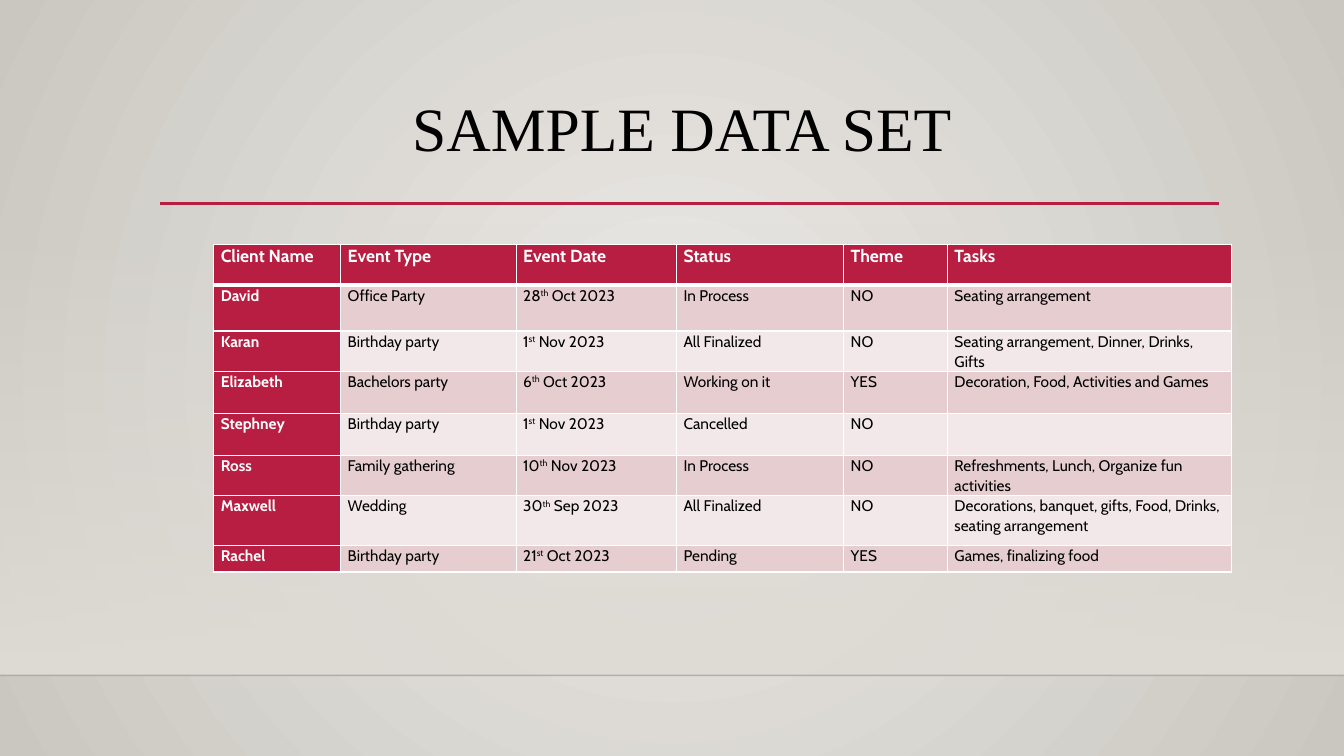
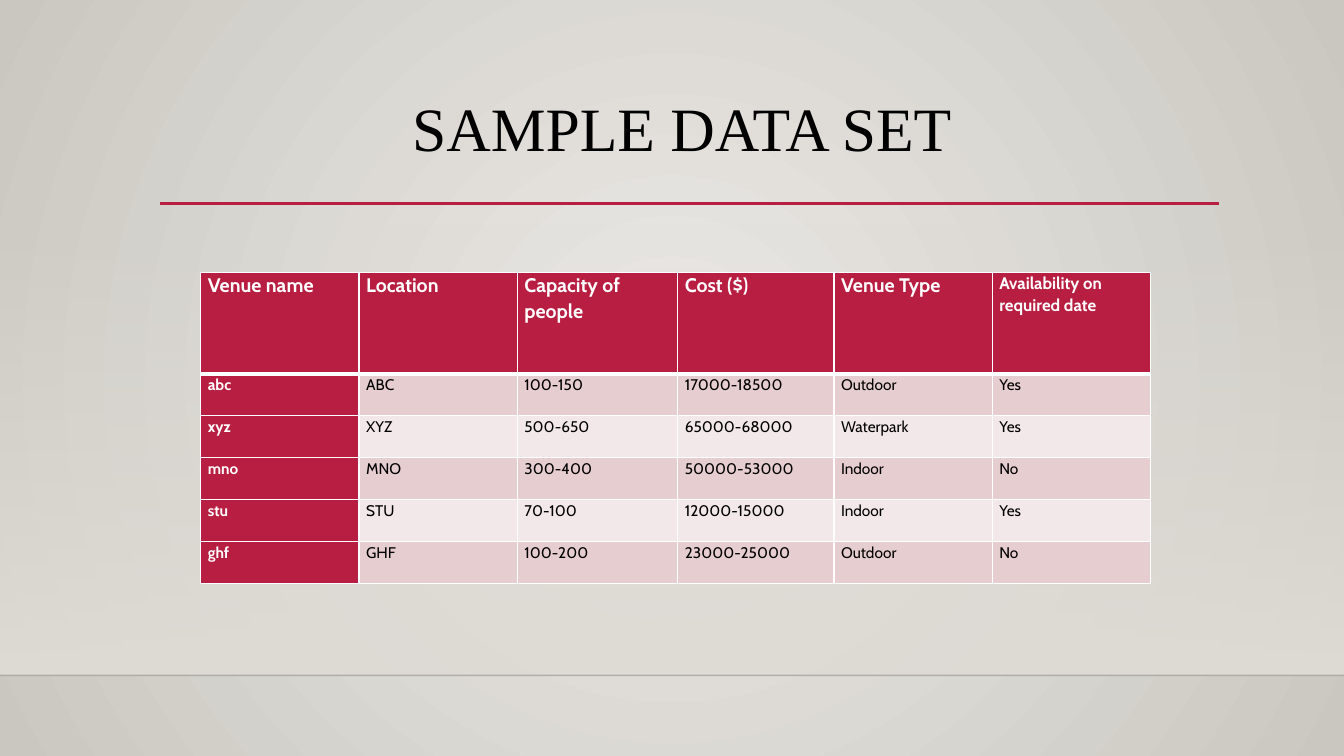
from lxml.etree import SubElement
from pptx import Presentation
from pptx.dml.color import RGBColor as Rgb
from pptx.enum.shapes import MSO_CONNECTOR as Connector, MSO_SHAPE as Shape
from pptx.enum.text import MSO_ANCHOR as Anchor, PP_ALIGN as Align
from pptx.oxml.ns import qn
from pptx.util import Inches, Pt

COLOURS = {
    "accent": "B71E42",
    "white": "FFFFFF",
    "text": "000000",
    "band dark": "E6CDCF",
    "band light": "F3E8E9",
    "glow": "ECEAE7",
    "edge": "CAC7C1",
    "floor": "DFDBD5",
    "floor line": "000001",
}
FONTS = {"title": "Times New Roman", "body": "Cabin"}
GRID_COLUMNS, GRID_ROWS = 160, 90
BLANK_LAYOUT = 6

TITLE_FRAME = {"word_wrap": True, "vertical_anchor": Anchor.TOP, "margin_top": Inches(0.1)}
TITLE_PARAGRAPH = {"alignment": Align.CENTER, "line_spacing": 0.9}
CELL_FRAME = {"margin_left": Inches(0.07), "margin_right": Inches(0.07),
              "margin_top": 0, "margin_bottom": 0}
CELL_PARAGRAPH = {"alignment": Align.LEFT, "line_spacing": 1.07, "space_after": Pt(8)}

EVENTS = [
    ["Client Name", "Event Type", "Event Date", "Status", "Theme", "Tasks"],
    ["David", "Office Party", "28^th^ Oct 2023", "In Process", "NO", "Seating arrangement"],
    ["Karan", "Birthday party", "1^st^ Nov 2023", "All Finalized", "NO",
     "Seating arrangement, Dinner, Drinks, Gifts"],
    ["Elizabeth", "Bachelors party", "6^th^ Oct 2023", "Working on it", "YES",
     "Decoration, Food, Activities and Games"],
    ["Stephney", "Birthday party", "1^st^ Nov 2023", "Cancelled", "NO", ""],
    ["Ross", "Family gathering", "10^th^ Nov 2023", "In Process", "NO",
     "Refreshments, Lunch, Organize fun activities"],
    ["Maxwell", "Wedding", "30^th^ Sep 2023", "All Finalized", "NO",
     "Decorations, banquet, gifts, Food, Drinks, seating arrangement"],
    ["Rachel", "Birthday party", "21^st^ Oct 2023", "Pending", "YES", "Games, finalizing food"],
]
VENUES = [
    ["Venue name", "Location", "Capacity of people", "Cost ($)", "Venue Type",
     "Availability on required date"],
    ["abc", "ABC", "100-150", "17000-18500", "Outdoor", "Yes"],
    ["xyz", "XYZ", "500-650", "65000-68000", "Waterpark", "Yes"],
    ["mno", "MNO", "300-400", "50000-53000", "Indoor", "No"],
    ["stu", "STU", "70-100", "12000-15000", "Indoor", "Yes"],
    ["ghf", "GHF", "100-200", "23000-25000", "Outdoor", "No"],
]


def colour(name):
    return Rgb.from_string(COLOURS[name])


def apply(target, values):
    for attribute, value in values.items():
        setattr(target, attribute, value)


def set_opacity(element, percent):
    """Set the opacity of the first plain colour inside an XML element."""
    tone = element.find(".//" + qn("a:srgbClr"))
    SubElement(tone, qn("a:alpha"), val=str(percent * 1000))


class Deck:
    """Shared style, the presentation and the slide being drawn."""

    def __init__(self):
        self.deck = Presentation()
        apply(self.deck, {"slide_width": Inches(13.333), "slide_height": Inches(7.5)})
        self.column = self.deck.slide_width / GRID_COLUMNS
        self.row = self.deck.slide_height / GRID_ROWS
        self.slide = None
        self.backdrop()

    def x(self, columns):
        return round(columns * self.column)

    def y(self, rows):
        return round(rows * self.row)

    def box(self, left, top, width, height):
        return self.x(left), self.y(top), self.x(width), self.y(height)

    def gradient(self, fill, *names):
        fill.gradient()
        for stop, name in zip(fill.gradient_stops, names):
            stop.color.rgb = colour(name)

    def backdrop(self):
        """Give the master a gradient that spreads in circles from the centre."""
        master = self.deck.slide_master
        self.gradient(master.background.fill, "glow", "edge")
        gradient = master.element.find(".//" + qn("p:bg")).find(".//" + qn("a:gradFill"))
        gradient.remove(gradient.find(qn("a:lin")))
        circle = SubElement(gradient, qn("a:path"), path="circle")
        SubElement(circle, qn("a:fillToRect"), l="50000", t="50000", r="50000", b="50000")

    def add_slide(self, title):
        self.slide = self.deck.slides.add_slide(self.deck.slide_layouts[BLANK_LAYOUT])
        self.floor(top=26.5, bottom=80.4)
        self.rule(0, GRID_COLUMNS, 80.4, "floor line", 1, opacity=20)
        self.rule(19.05, 145.1, 24.2, "accent", 2.5)
        self.title(title)

    def floor(self, top, bottom):
        """Draw the full-width band that fades in downwards."""
        band = self.slide.shapes.add_shape(
            Shape.RECTANGLE, *self.box(0, top, GRID_COLUMNS, bottom - top))
        band.shadow.inherit = False
        band.line.fill.background()
        self.gradient(band.fill, "floor", "floor")
        band.fill.gradient_angle = 270
        set_opacity(band.element, 0)

    def rule(self, left, right, level, tone, weight, opacity=100):
        line = self.slide.shapes.add_connector(
            Connector.STRAIGHT, self.x(left), self.y(level), self.x(right), self.y(level))
        line.line.width = Pt(weight)
        line.line.color.rgb = colour(tone)
        if opacity < 100:
            set_opacity(line.element, opacity)
        SubElement(line.element.spPr, qn("a:effectLst"))

    def add_text(self, paragraph, text, font, size, tone, bold=False):
        """Add text to a paragraph; parts between ^ marks are raised."""
        for index, part in enumerate(text.split("^")):
            if not part:
                continue
            run = paragraph.add_run()
            run.text = part
            apply(run.font, {"name": FONTS[font], "size": Pt(size), "bold": bold})
            run.font.color.rgb = colour(tone)
            if index % 2:
                run._r.get_or_add_rPr().set("baseline", "30000")

    def title(self, text):
        heading = self.slide.shapes.add_textbox(*self.box(19.05, 10.55, 126, 13.8))
        apply(heading.text_frame, TITLE_FRAME)
        paragraph = heading.text_frame.paragraphs[0]
        apply(paragraph, TITLE_PARAGRAPH)
        self.add_text(paragraph, text, "title", 44, "text")

    def table(self, left, top, widths, heights, records, header_sizes):
        grid = self.slide.shapes.add_table(
            len(records), len(widths),
            *self.box(left, top, sum(widths), sum(heights))).table
        apply(grid, {"first_row": True, "first_col": True, "horz_banding": True})
        for column, width in zip(grid.columns, widths):
            column.width = self.x(width)
        for row, height in zip(grid.rows, heights):
            row.height = self.y(height)
        for i, record in enumerate(records):
            band = "band dark" if i % 2 else "band light"
            for j, text in enumerate(record):
                heading = i == 0 or j == 0
                self.cell(grid.cell(i, j), text,
                          size=header_sizes[j] if i == 0 else 11,
                          fill="accent" if heading else band,
                          tone="white" if heading else "text",
                          bold=heading,
                          borders={"L": 1, "R": 1, "T": 3 if i == 1 else 1,
                                   "B": 3 if i == 0 else 1})

    def cell(self, cell, text, size, fill, tone, bold, borders):
        properties = cell._tc.get_or_add_tcPr()
        for side, weight in borders.items():
            edge = SubElement(properties, qn("a:ln" + side), w=str(Pt(weight)))
            SubElement(SubElement(edge, qn("a:solidFill")), qn("a:srgbClr"),
                       val=COLOURS["white"])
        cell.fill.solid()
        cell.fill.fore_color.rgb = colour(fill)
        apply(cell, CELL_FRAME)
        paragraph = cell.text_frame.paragraphs[0]
        apply(paragraph, CELL_PARAGRAPH)
        self.add_text(paragraph, text, "body", size, tone, bold)


def main():
    show = Deck()
    show.add_slide("SAMPLE DATA SET ")
    show.table(25.45, 29.1,
               widths=[15.1, 20.9, 19.1, 19.9, 12.35, 33.85],
               heights=[4.8, 5.5, 4.8, 5, 5, 4.8, 5.9, 3.2],
               records=EVENTS, header_sizes=[12.5] * 6)
    show.add_slide("SAMPLE DATA SET ")
    show.table(23.9, 32.4,
               widths=[18.85, 18.85, 19.1, 18.6, 18.85, 18.85],
               heights=[12.1] + [5] * 5,
               records=VENUES, header_sizes=[14] * 5 + [12])
    show.deck.save("out.pptx")


if __name__ == "__main__":
    main()
